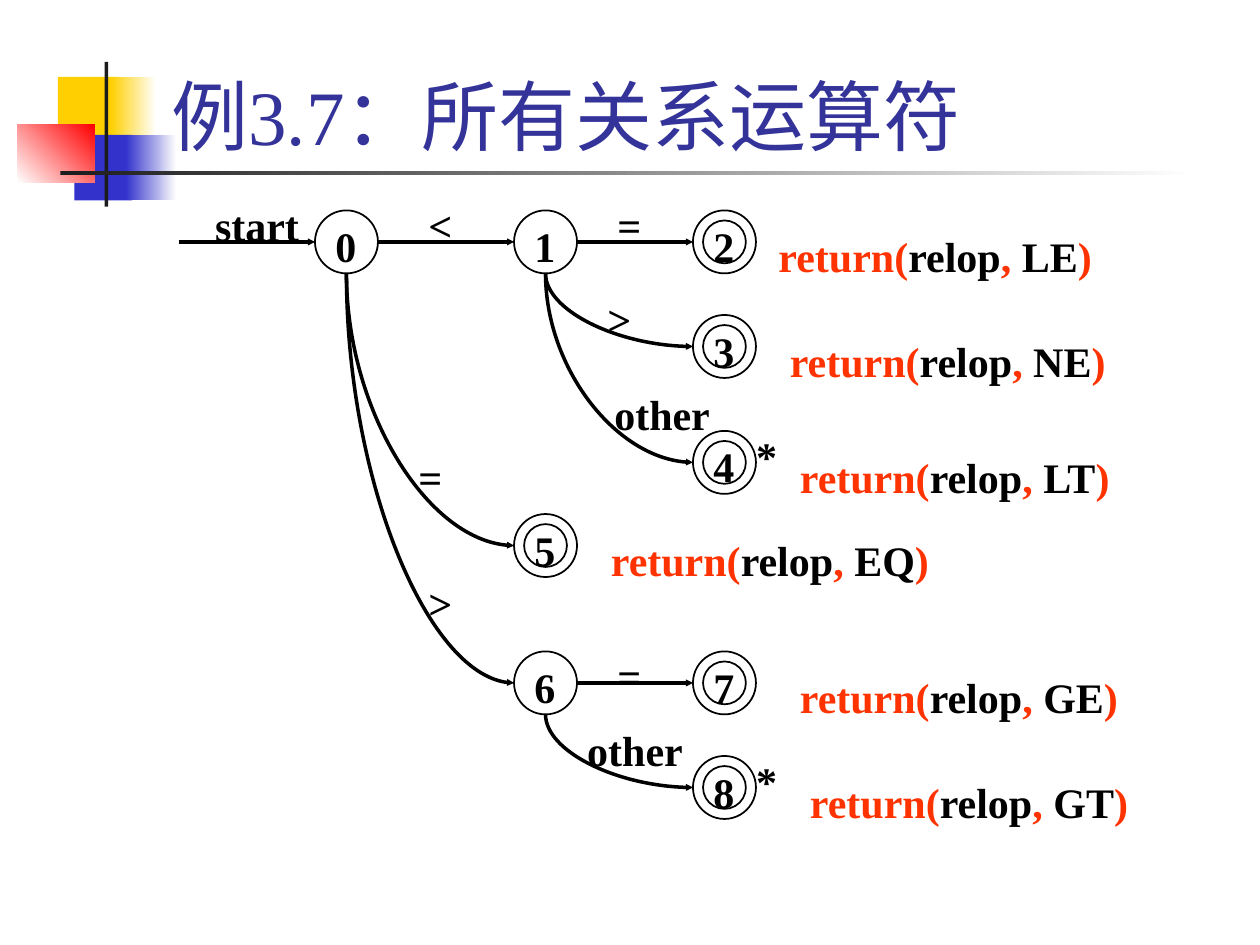
from pptx import Presentation
from pptx.dml.color import RGBColor
from pptx.enum.shapes import MSO_CONNECTOR as Link, MSO_SHAPE as Shape
from pptx.enum.text import MSO_ANCHOR as Anchor, PP_ALIGN as Align
from pptx.oxml.ns import qn
from pptx.util import Inches, Pt
from lxml.etree import SubElement

TITLE = "例3.7：所有关系运算符"
FONT = "Times New Roman"
BLACK, RED, NAVY = "000000", "FF3300", "333399"
YELLOW, BLUE, WHITE, DARK = "FFCF01", "3333CC", "FFFFFF", "1C1C1C"

# Corner ornament: left, top, width, height, colours, gradient angle
ORNAMENT = [
    (0.46, 0.61, 0.48, 0.52, [YELLOW], 0),
    (0.88, 0.61, 0.36, 0.52, [YELLOW, WHITE], 0),
    (0.59, 1.07, 0.46, 0.52, [BLUE], 0),
    (1, 1.07, 0.4, 0.52, [BLUE, WHITE], 0),
    (0.14, 0.99, 0.61, 0.46, [WHITE, "FF0000"], 45),
    (0.83, 0.49, 0.03, 1.15, [DARK], 0),
    (0.48, 1.36, 9, 0.03, [DARK, WHITE], 0),
]

# States: number -> left, top; accepting state -> returned operator, text left
SIZE, RING = 0.5, 0.08
COLUMNS = (2.5, 4.08, 5.5)
STATES = {
    0: (COLUMNS[0], 1.67), 1: (COLUMNS[1], 1.67), 2: (COLUMNS[2], 1.67),
    3: (COLUMNS[2], 2.5), 4: (COLUMNS[2], 3.42), 5: (COLUMNS[1], 4.08),
    6: (COLUMNS[1], 5.17), 7: (COLUMNS[2], 5.17), 8: (COLUMNS[2], 6),
}
RETURNS = {2: ("LE", 6.08), 3: ("NE", 6.17), 4: ("LT", 6.25),
           5: ("EQ", 4.75), 7: ("GE", 6.25), 8: ("GT", 6.33)}
RETRACTING = (4, 8)
START_X = 1.42

# Transitions: source, target, label, label left, label top, label width
EDGES = [
    (None, 0, "start", 1.5, 1.5, 1.08),
    (0, 1, "<", 3.08, 1.5, 0.83),
    (1, 2, "=", 4.58, 1.5, 0.83),
    (1, 3, ">", 4.5, 2.25, 0.83),
    (1, 4, "other", 4.67, 3, 1.17),
    (0, 5, "=", 3, 3.5, 0.83),
    (0, 6, ">", 3.08, 4.5, 0.83),
    (6, 7, "=", 4.58, 5.08, 0.83),
    (6, 8, "other", 4.5, 5.67, 1.08),
]


def color(value):
    return RGBColor.from_string(value)


def assign(target, values):
    for name, value in values.items():
        setattr(target, name, value)


def add_text(page, spans, left, top, width, align=Align.CENTER, side=0):
    box = page.shapes.add_textbox(*map(Inches, (left, top, width, 0.5)))
    frame = box.text_frame
    assign(frame, {"word_wrap": True, "margin_top": Inches(0.08),
                   "margin_left": Inches(side), "margin_right": Inches(side)})
    para = frame.paragraphs[0]
    para.alignment = align
    for text, tint in spans:
        span = para.add_run()
        span.text = text
        assign(span.font, {"name": FONT, "size": Pt(24), "bold": True})
        span.font.color.rgb = color(tint)


def add_circle(page, left, top, size):
    circle = page.shapes.add_shape(Shape.OVAL, *map(Inches, (left, top, size, size)))
    circle.shadow.inherit = False
    circle.fill.background()
    circle.line.color.rgb = color(BLACK)
    circle.line.width = Pt(1)


def add_arrow(page, kind, *ends):
    arrow = page.shapes.add_connector(kind, *map(Inches, ends))
    arrow.line.color.rgb = color(BLACK)
    arrow.line.width = Pt(2)
    SubElement(arrow.line._get_or_add_ln(), qn("a:tailEnd"), type="triangle", w="sm", len="sm")
    SubElement(arrow._element.spPr, qn("a:effectLst"))
    return arrow


def add_bend(page, x1, y1, x2, y2):
    """Quarter curve that leaves downwards and arrives rightwards."""
    across, down = x2 - x1, y2 - y1
    middle_x, middle_y = (x1 + x2) / 2, (y1 + y2) / 2
    # The unrotated frame has width and height swapped, and is mirrored
    bend = add_arrow(page, Link.CURVE, middle_x + down / 2, middle_y - across / 2,
                     middle_x - down / 2, middle_y + across / 2)
    properties = bend._element.spPr
    properties.find(qn("a:xfrm")).set("rot", str(270 * 60000))
    properties.find(qn("a:prstGeom")).set("prst", "curvedConnector2")


deck = Presentation()
deck.slide_width, deck.slide_height = Inches(10), Inches(7.5)
page = deck.slides.add_slide(deck.slide_layouts[5])

# Ornament
for *place, tints, angle in ORNAMENT:
    block = page.shapes.add_shape(Shape.RECTANGLE, *map(Inches, place))
    block.shadow.inherit = False
    block.line.fill.background()
    if len(tints) == 1:
        block.fill.solid()
        block.fill.fore_color.rgb = color(tints[0])
    else:
        block.fill.gradient()
        block.fill.gradient_angle = angle
        for stop, tint in zip(block.fill.gradient_stops, tints):
            stop.color.rgb = color(tint)

# Title
title = page.shapes.title
assign(title, {"left": Inches(1.26), "top": Inches(0.08),
               "width": Inches(8.52), "height": Inches(1.25)})
title.text_frame.text = TITLE
title.text_frame.vertical_anchor = Anchor.BOTTOM
heading = title.text_frame.paragraphs[0]
heading.alignment = Align.LEFT
assign(heading.runs[0].font, {"name": FONT, "size": Pt(44)})
heading.runs[0].font.color.rgb = color(NAVY)

# Transitions: straight along a row, bent down to a lower row
for source, target, label, *label_place in EDGES:
    end_x, end_y = STATES[target][0], STATES[target][1] + SIZE / 2
    left, top = STATES.get(source, (START_X - SIZE, STATES[target][1]))
    if top + SIZE / 2 == end_y:
        add_arrow(page, Link.STRAIGHT, left + SIZE, end_y, end_x, end_y)
    else:
        add_bend(page, left + SIZE / 2, top + SIZE, end_x, end_y)
    add_text(page, [(label, BLACK)], *label_place)

# States, with a second ring and a return action when accepting
for number, (left, top) in STATES.items():
    add_circle(page, left, top, SIZE)
    add_text(page, [(str(number), BLACK)], left + RING, top, 0.33)
    if number in RETURNS:
        operator, text_left = RETURNS[number]
        add_circle(page, left + RING, top + RING, SIZE - 2 * RING)
        spans = [("return(", RED), ("relop", BLACK), (", ", RED), (operator, BLACK), (")", RED)]
        add_text(page, spans, text_left, top + 0.08, 2.92, Align.LEFT, 0.1)
    if number in RETRACTING:
        add_text(page, [("*", BLACK)], left + 0.42, top - 0.08, 0.33)

deck.save("out.pptx")
